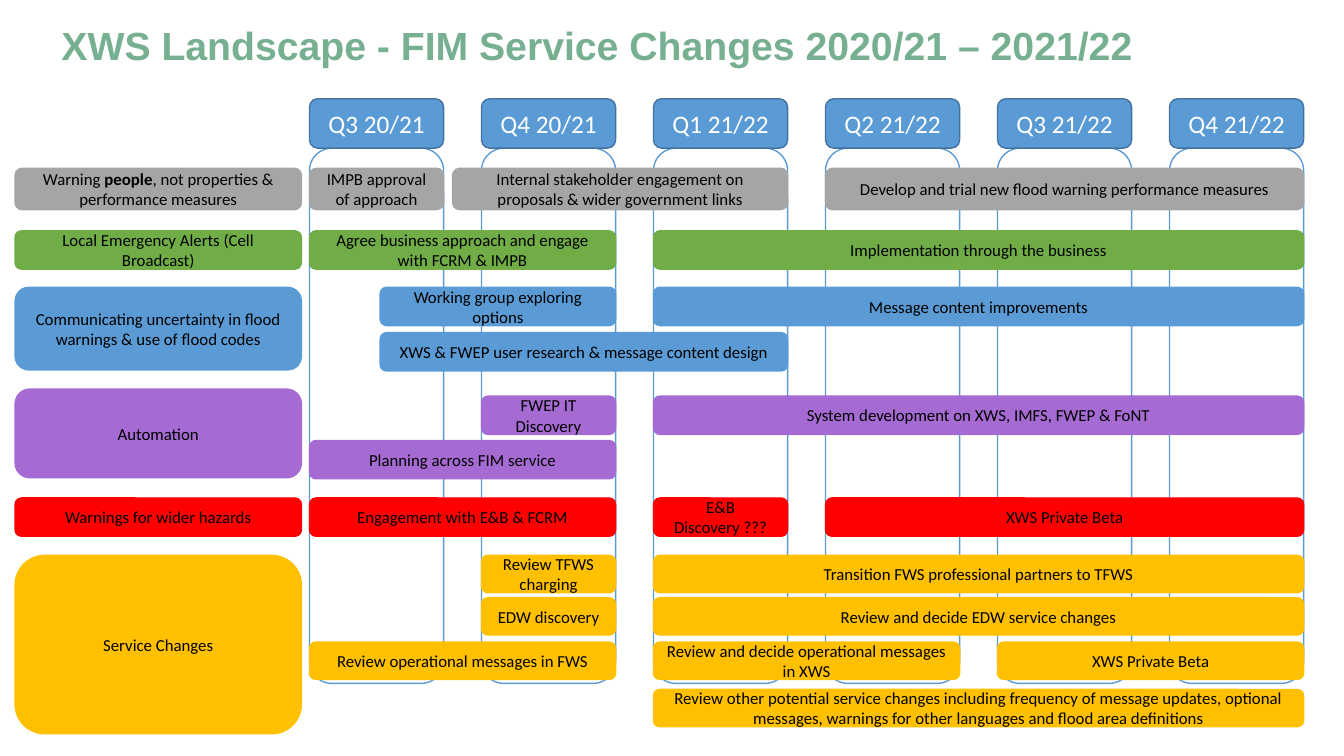
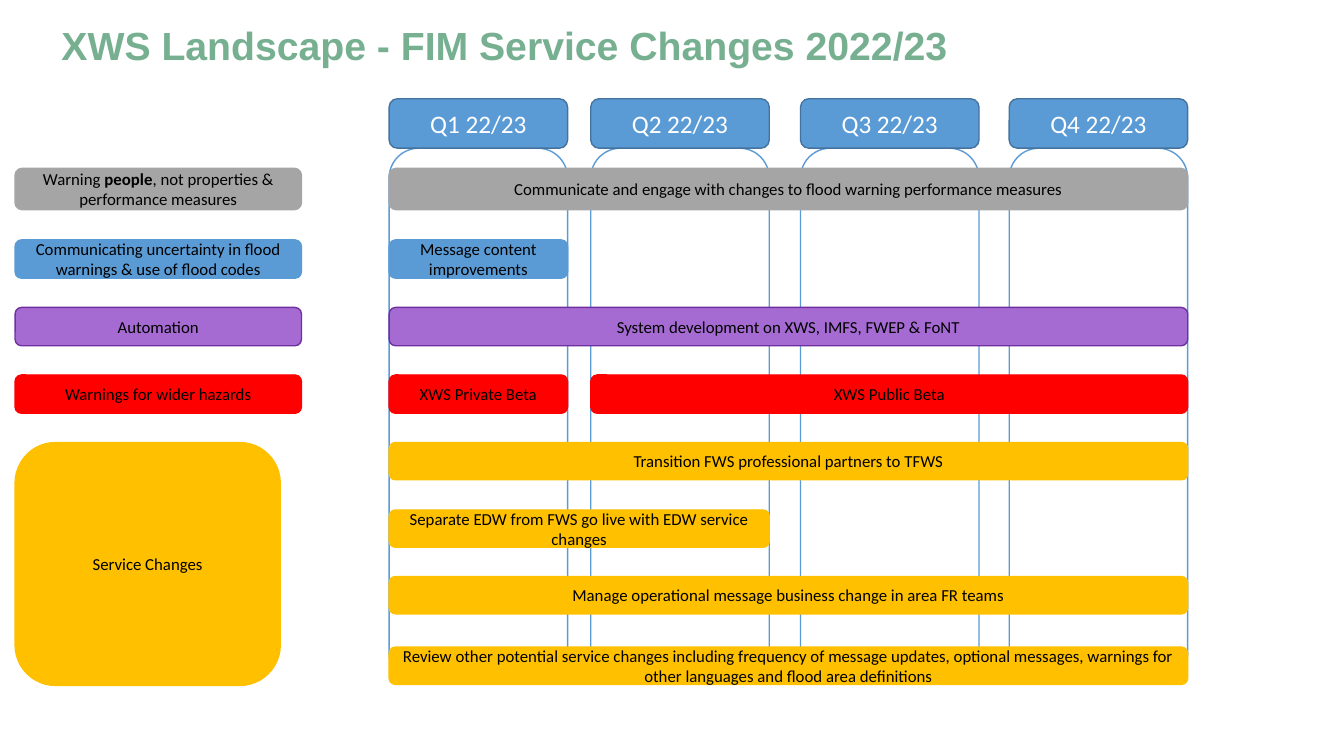
from dataclasses import dataclass

from pptx import Presentation
from pptx.dml.color import RGBColor
from pptx.enum.shapes import MSO_SHAPE
from pptx.enum.text import MSO_ANCHOR, MSO_AUTO_SIZE, PP_ALIGN
from pptx.util import Inches, Pt

WHITE, BLACK = "FFFFFF", "000000"
TITLE_GREEN = "77AF91"
QUARTER_BLUE, QUARTER_EDGE = "5B9BD5", "43739E"
AUTOMATION_EDGE = "7030A0"
CHART_TOP, CHART_HEIGHT, HEADER_HEIGHT = 0.98, 5.8, 0.49
LABEL_LEFT, LABEL_WIDTH = 0.15, 2.84
BAR_HEIGHT = 0.38


@dataclass
class Box:
    left: float
    top: float
    width: float
    height: float

    def inches(self):
        return [Inches(n) for n in (self.left, self.top, self.width, self.height)]


@dataclass
class Theme:
    label: str
    fill: str


@dataclass
class Bar:
    text: str
    first: int
    last: int
    drop: float = 0
    indent: float = 0


@dataclass
class Row:
    theme: Theme
    offset: float
    height: float
    bars: list
    edge: str = ""
    label_width: float = LABEL_WIDTH
    bar_height: float = BAR_HEIGHT


MEASURES = Theme("Warning **people**, not properties & performance measures", "A5A5A5")
ALERTS = Theme("Local Emergency Alerts (Cell Broadcast)", "70AD47")
UNCERTAINTY = Theme(
    "Communicating uncertainty in flood warnings & use of flood codes", "5B9BD5"
)
AUTOMATION = Theme("Automation", "A66BD3")
HAZARDS = Theme("Warnings for wider hazards", "FF0000")
SERVICES = Theme("Service Changes", "FFC000")

SYSTEM_DEVELOPMENT = "System development on XWS, IMFS, FWEP & FoNT"
OTHER_CHANGES = (
    "Review other potential service changes including frequency of message updates, "
    "optional messages, warnings for other languages and flood area definitions"
)

ROWS_TO_2022 = [
    Row(MEASURES, 0.69, 0.41, [
        Bar("IMPB approval of approach", 0, 0),
        Bar("Internal stakeholder engagement on proposals & wider government links",
            0, 2, indent=1.42),
        Bar("Develop and trial new flood warning performance measures", 3, 5),
    ], bar_height=0.41),
    Row(ALERTS, 1.31, 0.38, [
        Bar("Agree business approach and engage with FCRM & IMPB", 0, 1),
        Bar("Implementation through the business", 2, 5),
    ]),
    Row(UNCERTAINTY, 1.87, 0.82, [
        Bar("Working group exploring options", 0, 1, indent=0.7),
        Bar("Message content improvements", 2, 5),
        Bar("XWS & FWEP user research & message content design", 0, 2, 0.45, 0.7),
    ]),
    Row(AUTOMATION, 2.88, 0.88, [
        Bar("FWEP IT Discovery", 1, 1, 0.07),
        Bar(SYSTEM_DEVELOPMENT, 2, 5, 0.07),
        Bar("Planning across FIM service", 0, 1, 0.51),
    ]),
    Row(HAZARDS, 3.96, 0.38, [
        Bar("Engagement with E&B & FCRM", 0, 1),
        Bar("E&B Discovery ???", 2, 2),
        Bar("XWS Private Beta", 3, 5),
    ]),
    Row(SERVICES, 4.53, 1.77, [
        Bar("Review TFWS charging", 1, 1),
        Bar("Transition FWS professional partners to TFWS", 2, 5),
        Bar("EDW discovery", 1, 1, 0.42),
        Bar("Review and decide EDW service changes", 2, 5, 0.42),
        Bar("Review operational messages in FWS", 0, 1, 0.86),
        Bar("Review and decide operational messages in XWS", 2, 3, 0.86),
        Bar("XWS Private Beta", 4, 5, 0.86),
        Bar(OTHER_CHANGES, 2, 5, 1.33),
    ], bar_height=0.37),
]

ROWS_TO_2023 = [
    Row(MEASURES, 0.69, 0.41, [
        Bar("Communicate and engage with changes to flood warning performance measures",
            0, 3),
    ], bar_height=0.41),
    Row(UNCERTAINTY, 1.4, 0.38, [Bar("Message content improvements", 0, 0)]),
    Row(AUTOMATION, 2.07, 0.38, [Bar(SYSTEM_DEVELOPMENT, 0, 3)], AUTOMATION_EDGE),
    Row(HAZARDS, 2.74, 0.38, [
        Bar("XWS Private Beta", 0, 0),
        Bar("XWS Public Beta", 1, 3),
    ]),
    Row(SERVICES, 3.41, 2.41, [
        Bar("Transition FWS professional partners to TFWS", 0, 3),
        Bar("Separate EDW from FWS go live with EDW service changes", 0, 1, 0.67),
        Bar("Manage operational message business change in area FR teams", 0, 3, 1.33),
        Bar(OTHER_CHANGES, 0, 3, 2.03),
    ], label_width=2.63, bar_height=0.37),
]


def color(value):
    return RGBColor.from_string(value)


def style_font(font, name, size, value):
    font.name = name
    font.size = Pt(size)
    font.color.rgb = color(value)


def add_rounded(slide, box, fill, edge, text="", size=12, ink=BLACK):
    panel = slide.shapes.add_shape(MSO_SHAPE.ROUNDED_RECTANGLE, *box.inches())
    panel.shadow.inherit = False
    panel.fill.solid()
    panel.fill.fore_color.rgb = color(fill)
    panel.line.color.rgb = color(edge)
    panel.line.width = Pt(1)
    if text:
        frame = panel.text_frame
        frame.word_wrap = True
        frame.vertical_anchor = MSO_ANCHOR.MIDDLE
        paragraph = frame.paragraphs[0]
        paragraph.alignment = PP_ALIGN.CENTER
        style_font(paragraph.font, "Calibri", size, ink)
        for position, part in enumerate(text.split("**")):
            run = paragraph.add_run()
            run.text = part
            if position % 2:
                run.font.bold = True


def add_title(slide, text, box):
    title = slide.shapes.title
    title.left, title.top, title.width, title.height = box.inches()
    frame = title.text_frame
    frame.text = text
    frame.word_wrap = True
    frame.auto_size = MSO_AUTO_SIZE.NONE
    frame.vertical_anchor = MSO_ANCHOR.TOP
    paragraph = frame.paragraphs[0]
    paragraph.alignment = PP_ALIGN.LEFT
    paragraph.line_spacing = 0.9
    style_font(paragraph.font, "Arial", 28, TITLE_GREEN)
    paragraph.font.bold = True


def add_quarter(slide, name, box):
    lane = Box(box.left, box.top + HEADER_HEIGHT, box.width, box.height - HEADER_HEIGHT)
    header = Box(box.left, box.top, box.width, HEADER_HEIGHT)
    add_rounded(slide, lane, WHITE, QUARTER_BLUE)
    add_rounded(slide, header, QUARTER_BLUE, QUARTER_EDGE, name, 18, WHITE)


def add_row(slide, row, quarters):
    top = quarters[0].top + row.offset
    fill = row.theme.fill
    edge = row.edge or fill
    label = Box(LABEL_LEFT, top, row.label_width, row.height)
    add_rounded(slide, label, fill, edge, row.theme.label)
    for bar in row.bars:
        left = quarters[bar.first].left + bar.indent
        right = quarters[bar.last].left + quarters[bar.last].width
        span = Box(left, top + bar.drop, right - left, row.bar_height)
        add_rounded(slide, span, fill, edge, bar.text)


def add_roadmap(deck, title, names, lefts, quarter_width, rows):
    slide = deck.slides.add_slide(deck.slide_layouts[5])
    add_title(slide, title, Box(0.51, 0.21, 12.16, 0.61))
    quarters = [Box(left, CHART_TOP, quarter_width, CHART_HEIGHT) for left in lefts]
    for name, box in zip(names, quarters):
        add_quarter(slide, name, box)
    for row in rows:
        add_row(slide, row, quarters)


def main():
    deck = Presentation()
    deck.slide_width = Inches(13.33)
    deck.slide_height = Inches(7.5)

    names = ["Q3 20/21", "Q4 20/21"] + [f"Q{number} 21/22" for number in range(1, 5)]
    first, last = 3.07, 11.6
    pitch = (last - first) / (len(names) - 1)
    add_roadmap(
        deck, "XWS Landscape - FIM Service Changes 2020/21 – 2021/22", names,
        [first + pitch * index for index in range(len(names))], 1.33, ROWS_TO_2022,
    )
    add_roadmap(
        deck, "XWS Landscape - FIM Service Changes 2022/23",
        [f"Q{number} 22/23" for number in range(1, 5)],
        [3.86, 5.86, 7.94, 10.01], 1.77, ROWS_TO_2023,
    )
    deck.save("out.pptx")


if __name__ == "__main__":
    main()
